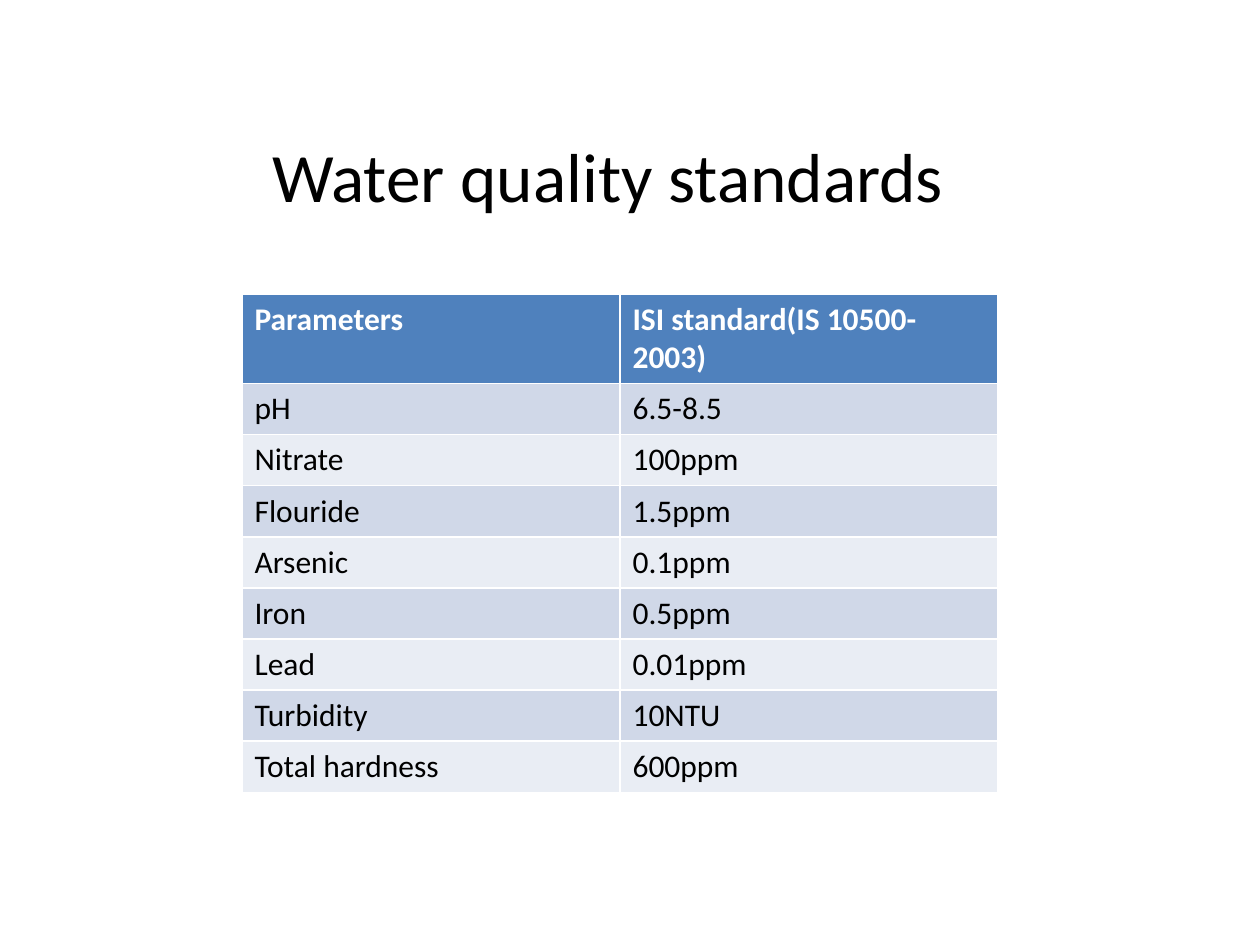
from dataclasses import dataclass

from pptx import Presentation
from pptx.dml.color import RGBColor
from pptx.enum.text import MSO_ANCHOR, MSO_AUTO_SIZE, PP_ALIGN
from pptx.util import Pt

CENTER, LEFT = PP_ALIGN.CENTER, PP_ALIGN.LEFT
MIDDLE, TOP = MSO_ANCHOR.MIDDLE, MSO_ANCHOR.TOP
NO_AUTOFIT = MSO_AUTO_SIZE.NONE
TITLE_ONLY = 5


@dataclass(frozen=True)
class Theme:
    font: str = "Calibri"
    title_size: float = 39.6
    table_size: float = 18
    text: str = "000000"
    header_text: str = "FFFFFF"
    header_fill: str = "4F81BD"
    bands: tuple = ("D0D8E8", "E9EDF4")


theme = Theme()


def px(n):
    return round(n * 914400 / 126)


def write(tf, text, size=theme.table_size, color=theme.text, bold=False, align=LEFT):
    p = tf.paragraphs[0]
    p.alignment = align
    r = p.add_run()
    r.text = text
    r.font.name = theme.font
    r.font.size = Pt(size)
    r.font.bold = bold
    r.font.color.rgb = RGBColor.from_string(color)


prs = Presentation()
prs.slide_width, prs.slide_height = px(1260), px(945)
s = prs.slides.add_slide(prs.slide_layouts[TITLE_ONLY])

# Title
title = s.shapes.title
title.left, title.top, title.width, title.height = px(57), px(147), px(1086), px(55)
tf = title.text_frame
tf.auto_size = NO_AUTOFIT
tf.vertical_anchor = MIDDLE
write(tf, " Water quality standards", size=theme.title_size, align=CENTER)

# Standards table: the default style supplies its white rules
standards = [
    ("Parameters", "ISI standard(IS 10500-2003)"),
    ("pH", "6.5-8.5"),
    ("Nitrate", "100ppm"),
    ("Flouride", "1.5ppm"),
    ("Arsenic", "0.1ppm"),
    ("Iron", "0.5ppm"),
    ("Lead", "0.01ppm"),
    ("Turbidity", "10NTU"),
    ("Total hardness", "600ppm"),
]
HEADER_H, ROW_H, COL_W = 88, 51, 378
table_h = HEADER_H + ROW_H * (len(standards) - 1)
table = s.shapes.add_table(
    len(standards), 2, px(242), px(294), px(2 * COL_W), px(table_h)
).table
for col in table.columns:
    col.width = px(COL_W)

for i, row in enumerate(standards):
    header = i == 0
    table.rows[i].height = px(HEADER_H if header else ROW_H)
    fill = theme.header_fill if header else theme.bands[(i - 1) % 2]
    color = theme.header_text if header else theme.text
    for j, text in enumerate(row):
        cell = table.cell(i, j)
        cell.fill.solid()
        cell.fill.fore_color.rgb = RGBColor.from_string(fill)
        cell.vertical_anchor = TOP
        write(cell.text_frame, text, color=color, bold=header)

prs.save("out.pptx")
